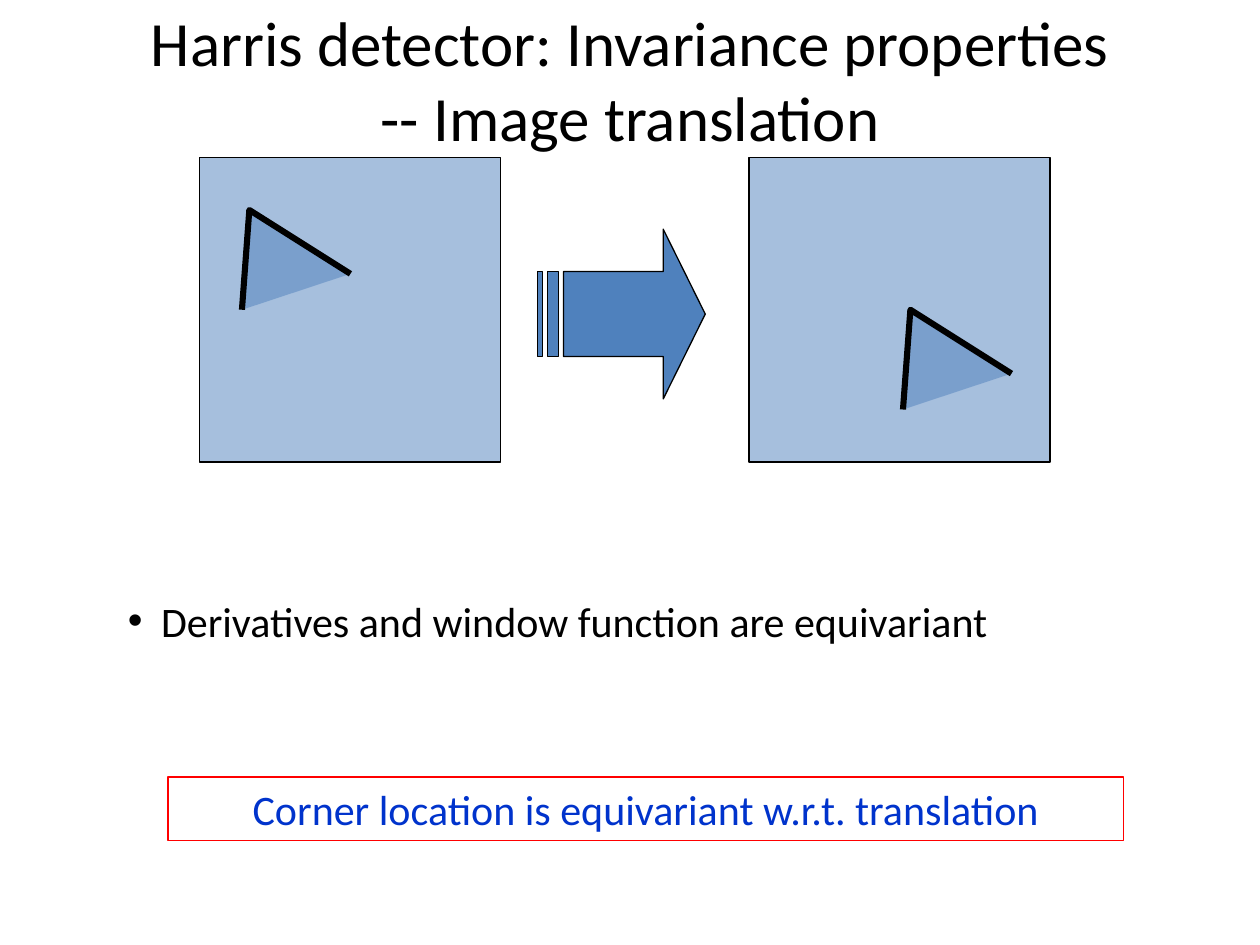
from dataclasses import dataclass

from lxml.etree import SubElement as Sub
from pptx import Presentation
from pptx.dml.color import RGBColor as RGB
from pptx.enum.shapes import MSO_SHAPE as Kind
from pptx.enum.text import MSO_ANCHOR as Anchor, PP_ALIGN as Align
from pptx.oxml.ns import qn
from pptx.util import Pt


@dataclass(frozen=True)
class Theme:
    font: str = "Calibri"
    black: RGB = RGB(0, 0, 0)
    fill: RGB = RGB(0x4F, 0x81, 0xBD)
    red: RGB = RGB(0xFF, 0, 0)
    blue: RGB = RGB(0, 0x33, 0xCC)
    title: float = 36
    body: float = 24
    thin: float = 0.75
    thick: float = 3.5


THEME = Theme()


def apply(item, form):
    for name, value in form.items():
        setattr(item, name, value)


def paint(shape, fill=THEME.fill, edge=THEME.black, width=THEME.thin, alpha=None):
    shape.shadow.inherit = False
    if fill is None:
        shape.fill.background()
    else:
        shape.fill.solid()
        shape.fill.fore_color.rgb = fill
    if alpha:
        tone = shape.fill._xPr.find(".//" + qn("a:srgbClr"))
        Sub(tone, qn("a:alpha"), val=str(alpha * 1000))
    shape.line.color.rgb = edge
    shape.line.width = Pt(width)


def add_shape(slide, kind, box, **look):
    shape = slide.shapes.add_shape(kind, *map(Pt, box))
    paint(shape, **look)
    return shape


def add_bullet(para, indent):
    props = para._p.get_or_add_pPr()
    apply_xml = {"marL": Pt(indent), "indent": -Pt(indent)}
    for name, value in apply_xml.items():
        props.set(name, str(value))
    Sub(props, qn("a:buFont"), typeface="Arial")
    Sub(props, qn("a:buChar"), char="•")


def write(shape, text, size, color=THEME.black, align=Align.CENTER,
          anchor=Anchor.TOP, indent=None):
    frame = shape.text_frame
    apply(frame, {"word_wrap": True, "vertical_anchor": anchor})
    para = frame.paragraphs[0]
    apply(para, {"text": text, "alignment": align})
    if indent:
        add_bullet(para, indent)
    for run in para.runs:
        apply(run.font, {"name": THEME.font, "size": Pt(size)})
        run.font.color.rgb = color


def add_text(slide, box, text, size, **look):
    write(slide.shapes.add_textbox(*map(Pt, box)), text, size, **look)


def add_corner(slide, left, top):
    steps = [(0, 57), (4.25, 0), (62, 36.5)]
    first, *rest = [(Pt(left + x), Pt(top + y)) for x, y in steps]
    pen = slide.shapes.build_freeform(*first)
    pen.add_line_segments(rest, close=False)
    paint(pen.convert_to_shape(), width=THEME.thick, alpha=50)


def add_frame(slide, left, corner):
    add_shape(slide, Kind.RECTANGLE, (left, 90, 172, 174), alpha=50)
    add_corner(slide, *corner)


def main():
    deck = Presentation()
    apply(deck, {"slide_width": Pt(720), "slide_height": Pt(540)})
    slide = deck.slides.add_slide(deck.slide_layouts[6])

    add_text(slide, (36, 0, 648, 90),
             "Harris detector: Invariance properties\v-- Image translation",
             THEME.title, anchor=Anchor.MIDDLE)
    add_text(slide, (66, 336.5, 606, 36.5),
             "Derivatives and window function are equivariant",
             THEME.body, align=Align.LEFT, indent=19)

    add_frame(slide, 114, (138.25, 120))
    arrow = add_shape(slide, Kind.STRIPED_RIGHT_ARROW, (307, 131, 96, 97))
    arrow.adjustments[0] = 0.5
    arrow.adjustments[1] = 0.25
    add_frame(slide, 428, (516, 177))

    note = add_shape(slide, Kind.RECTANGLE, (96, 444, 546, 36.5),
                     fill=None, edge=THEME.red)
    write(note, "Corner location is equivariant w.r.t. translation",
          THEME.body, color=THEME.blue)

    deck.save("out.pptx")


if __name__ == "__main__":
    main()
